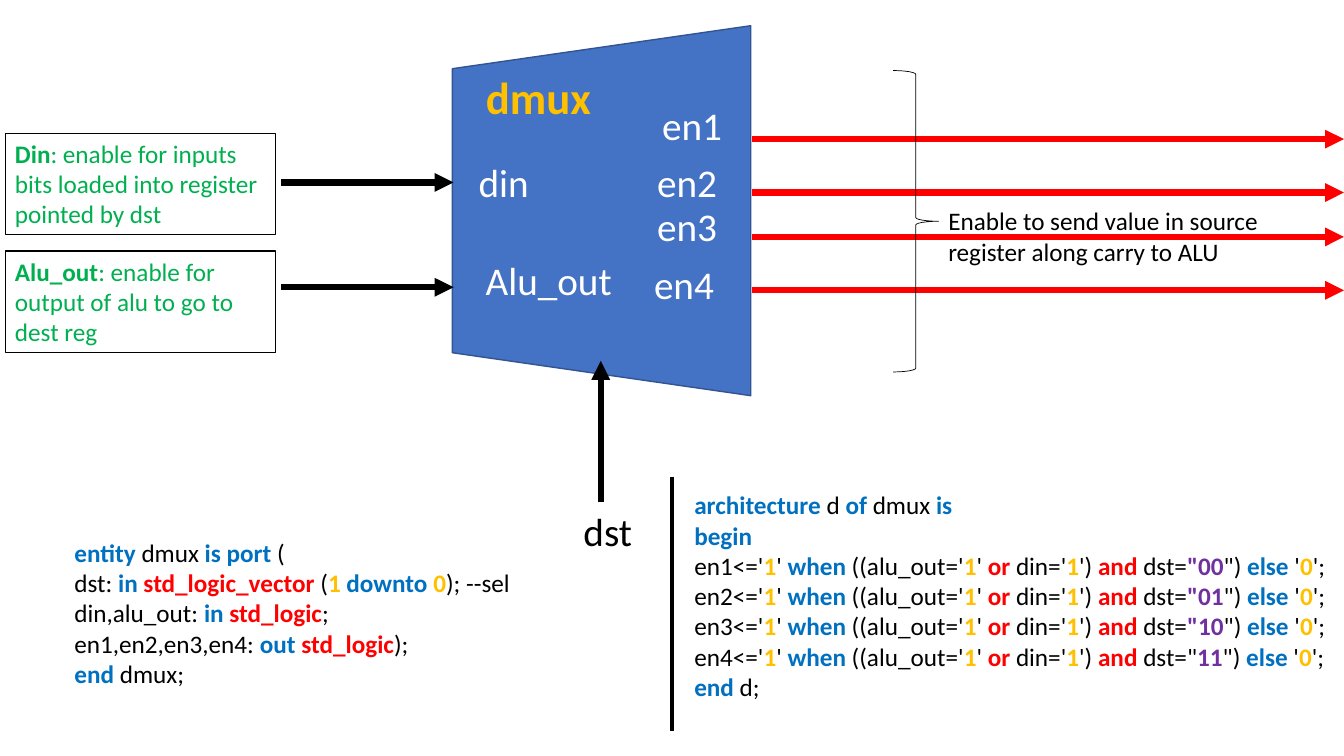
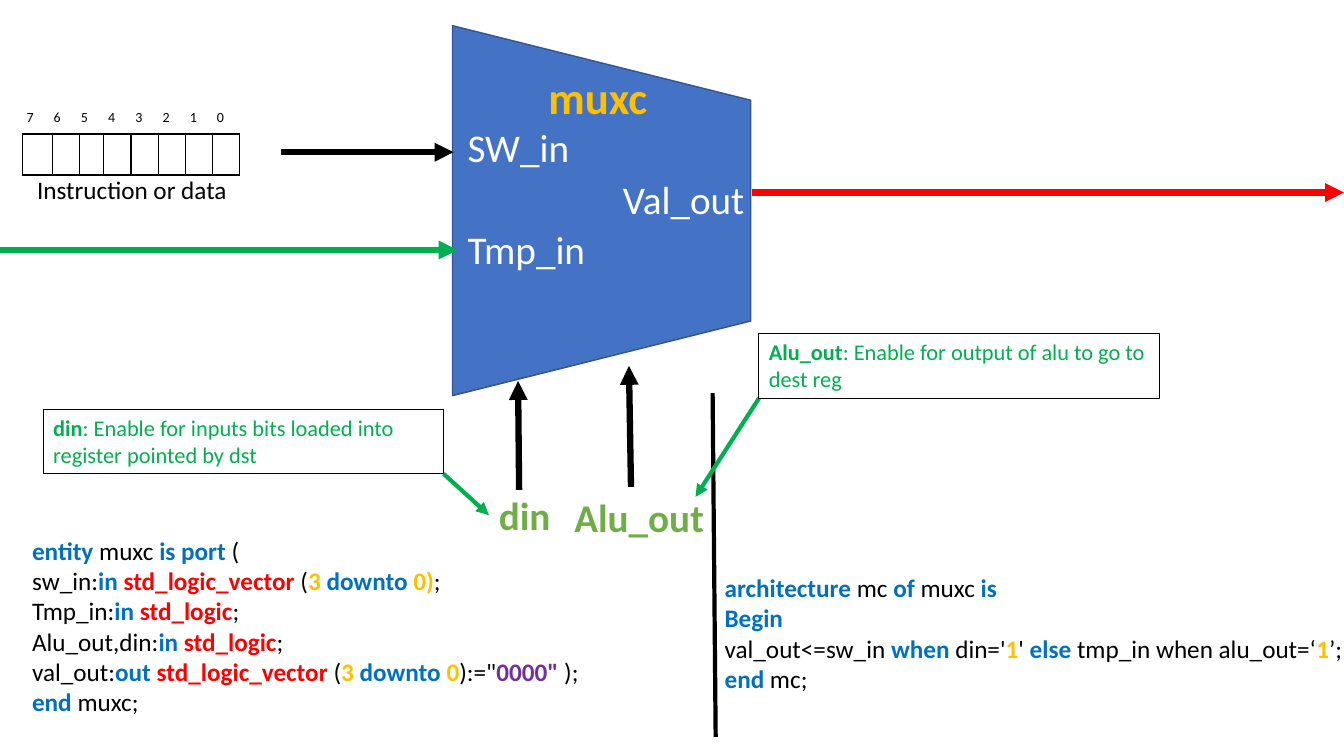
from dataclasses import dataclass

from lxml import etree
from pptx import Presentation
from pptx import util as u
from pptx.dml.color import RGBColor
from pptx.enum import shapes, text
from pptx.oxml import ns

# The slide is a grid of 40 columns by 22.5 rows of square cells.
COLUMNS, ROWS = 40, 22.5
CELL = u.Inches(1) // 3
FONT = "Calibri"
COLOURS = {
    "black": "000000", "white": "FFFFFF", "block": "4472C4", "edge": "325491",
    "red": "FF0000", "green": "00B050", "select": "70AD47", "amber": "FFC000",
    "blue": "0070C0", "purple": "7030A0",
}
# Code and captions mark bold coloured words as [letter:words].
TAGS = {"k": "blue", "t": "red", "n": "amber", "s": "purple", "g": "green"}


@dataclass(frozen=True)
class Label:
    words: str
    left: float
    top: float
    width: float = 4.86
    height: float = 1.71
    size: int = 28
    colour: str = "white"
    bold: bool = False
    framed: bool = False


@dataclass(frozen=True)
class Line:
    start: tuple[float, float]
    end: tuple[float, float]
    colour: str = "black"
    weight: float = 4.5
    arrow: bool = True


def grid(*cells: float) -> list[int]:
    """Turn columns or rows of the grid into lengths."""
    return [round(cell * CELL) for cell in cells]


def rgb(name: str) -> RGBColor:
    return RGBColor.from_string(COLOURS[name])


def spans(marked_line: str):
    """Yield each stretch of words with its tag, or None when untagged."""
    plain, *tagged = marked_line.split("[")
    yield plain, None
    for part in tagged:
        marked, rest = part.split("]", 1)
        tag, words = marked.split(":", 1)
        yield words, tag
        yield rest, None


def write(frame, label: Label) -> None:
    frame.word_wrap = True
    frame.auto_size = text.MSO_AUTO_SIZE.NONE
    frame.vertical_anchor = text.MSO_ANCHOR.TOP
    for index, line in enumerate(label.words.splitlines()):
        para = frame.add_paragraph() if index else frame.paragraphs[0]
        para.alignment = text.PP_ALIGN.LEFT
        para.font.name = FONT
        para.font.size = u.Pt(label.size)
        para.font.bold = label.bold
        para.font.color.rgb = rgb(label.colour)
        for words, tag in spans(line):
            if not words:
                continue
            span = para.add_run()
            span.text = words
            if tag:
                span.font.bold = True
                span.font.color.rgb = rgb(TAGS[tag])


def draw_label(page, label: Label):
    box = page.shapes.add_textbox(
        *grid(label.left, label.top, label.width, label.height))
    if label.framed:
        box.line.color.rgb = rgb("black")
        box.line.width = u.Pt(0.75)
    write(box.text_frame, label)
    return box


def draw_line(page, line: Line) -> None:
    connector = page.shapes.add_connector(
        shapes.MSO_CONNECTOR.STRAIGHT, *grid(*line.start, *line.end))
    connector.line.color.rgb = rgb(line.colour)
    connector.line.width = u.Pt(line.weight)
    properties = connector.element.spPr
    if line.arrow:
        outline = properties.find(ns.qn("a:ln"))
        etree.SubElement(outline, ns.qn("a:tailEnd"), type="triangle")
    etree.SubElement(properties, ns.qn("a:effectLst"))


def draw_block(page, rotation: int, slant: float) -> None:
    block = page.shapes.add_shape(
        shapes.MSO_SHAPE.TRAPEZOID, *grid(12.4, 1.83, 11.01, 8.88))
    block.rotation = rotation
    block.adjustments[0] = slant
    block.shadow.inherit = False
    block.fill.solid()
    block.fill.fore_color.rgb = rgb("block")
    block.line.color.rgb = rgb("edge")
    block.line.width = u.Pt(1)


def start_page(deck, name: str, name_left: float, rotation: int, slant: float):
    """Add a slide with its trapezoid block and the block's name as title."""
    page = deck.slides.add_slide(deck.slide_layouts[5])
    draw_block(page, rotation, slant)
    title = page.shapes.title
    title.left, title.top, title.width, title.height = grid(
        name_left, 1.92, 5.07, 1.92)
    write(title.text_frame, Label(name, name_left, 1.92, size=32,
                                  colour="amber", bold=True))
    title.element.getparent().append(title.element)  # in front of the block
    return page


def draw_all(page, lines: list[Line], labels: list[Label]) -> None:
    for line in lines:
        draw_line(page, line)
    for label in labels:
        draw_label(page, label)


def code(words: str, left: float, top: float, width: float,
         height: float) -> Label:
    return Label(words, left, top, width, height, 18, "black")


def caption(words: str, left: float, top: float, width: float, height: float,
            size: int) -> Label:
    return Label(words, left, top, width, height, size, "green", framed=True)


def draw_brace(page) -> None:
    brace = page.shapes.add_shape(
        shapes.MSO_SHAPE.RIGHT_BRACE, *grid(26.58, 2.1, 1.35, 8.97))
    brace.shadow.inherit = False
    brace.fill.background()
    brace.line.color.rgb = rgb("black")
    brace.line.width = u.Pt(0.5)


def border_cell(cell) -> None:
    properties = cell._tc.get_or_add_tcPr()
    for index, side in enumerate(("lnL", "lnR", "lnT", "lnB")):
        border = etree.Element(ns.qn(f"a:{side}"), w=str(u.Pt(1)))
        fill = etree.SubElement(border, ns.qn("a:solidFill"))
        etree.SubElement(fill, ns.qn("a:srgbClr"), val=COLOURS["black"])
        properties.insert(index, border)


def draw_bit_cells(page) -> None:
    widths = [0.9, 0.81, 0.69] + [0.81] * 5
    table = page.shapes.add_table(
        1, len(widths), *grid(0.66, 3.99, sum(widths), 1.2)).table
    table.first_row = table.horz_banding = False
    for column, width in zip(table.columns, grid(*widths)):
        column.width = width
    for cell in table.iter_cells():
        cell.fill.solid()
        cell.fill.fore_color.rgb = rgb("white")
        border_cell(cell)


def draw_bit_numbers(page) -> None:
    """Number the bits 7 to 0 on evenly spaced centred tabs."""
    numbers = "".join(f"\t{bit}" for bit in reversed(range(8)))
    box = draw_label(page, Label(numbers, 0.33, 3.09, 6.81, 0.81, 10, "black"))
    properties = box.text_frame.paragraphs[0]._p.get_or_add_pPr()
    stops = etree.Element(ns.qn("a:tabLst"))
    for position in grid(*(0.27 + 0.81 * index for index in range(8))):
        etree.SubElement(stops, ns.qn("a:tab"), pos=str(position), algn="ctr")
    properties.insert(0, stops)


def add_dmux(deck) -> None:
    page = start_page(deck, "dmux", 14.16, 270, 0.144)
    entity = """[k:entity ]dmux [k:is port] (
dst: [k:in ][t:std_logic_vector] ([n:1 ][k:downto ][n:0]); --sel
din,alu_out: [k:in ][t:std_logic];
en1,en2,en3,en4: [k:out ][t:std_logic]);
[k:end ]dmux;"""
    selectors = ['[s:"00]', '[s:"01]', '[s:"10]', '"[s:11]']
    enables = [
        f"en{number}<='[n:1]' [k:when] ((alu_out='[n:1]' [t:or] din='[n:1]') "
        f"[t:and ]dst={selector}\") [k:else] '[n:0]';"
        for number, selector in enumerate(selectors, 1)]
    architecture = "\n".join(
        ["[k:architecture] d [k:of ]dmux [k:is]", "[k:begin]", *enables,
         "[k:end] d;"])
    lines = [Line((22.38, row), (COLUMNS, row), "red")
             for row in (4.14, 5.73, 7.05, 8.64)]
    lines += [Line((8.37, row), (13.5, row)) for row in (5.43, 8.55)]
    lines += [
        Line((17.88, 14.94), (17.88, 10.74)),
        Line((20.01, 14.19), (20.01, 21.75), weight=3, arrow=False),
    ]
    outputs = [(19.41, 2.88), (19.26, 4.56), (19.26, 5.88), (19.17, 7.59)]
    labels = [Label(f"en{number}", *place)
              for number, place in enumerate(outputs, 1)]
    labels += [
        Label("din", 13.95, 4.56),
        Label("Alu_out", 14.16, 7.47),
        Label("dst", 17.07, 14.94, colour="black"),
        code(entity, 1.92, 15.84, 20.01, 4.86),
        code(architecture, 20.37, 14.43, 19.63, 6.66),
        caption("[g:Din]: enable for inputs bits loaded into register "
                "pointed by dst", 0.15, 3.96, 8.04, 3.03, 18),
        caption("[g:Alu_out]: enable for output of alu to go to dest reg",
                0.15, 7.47, 8.04, 3.03, 18),
        Label("Enable to send value in source register along carry to ALU",
              27.93, 5.97, 11.28, 2.13, 18, "black"),
    ]
    draw_all(page, lines, labels)
    draw_brace(page)


def add_muxc(deck) -> None:
    page = start_page(deck, "muxc", 16.02, 90, 0.25)
    entity = """[k:entity ]muxc [k:is port] (
sw_in:[k:in ][t:std_logic_vector ]([n:3 ][k:downto ][n:0)];
Tmp_in:[k:in ][t:std_logic];
Alu_out,din:[k:in ][t:std_logic];
val_out:[k:out ][t:std_logic_vector ]([n:3 ][k:downto ][n:0]):="[s:0000" ]);
[k:end ]muxc;"""
    architecture = """[k:architecture] mc [k:of ]muxc [k:is]
[k:Begin]
val_out<=sw_in [k:when] din='[n:1]' [k:else ]tmp_in when alu_out=‘[n:1]’;
[k:end] mc;"""
    lines = [
        Line((18.78, 14.49), (18.72, 10.89)),
        Line((15.45, 14.58), (15.42, 11.34)),
        Line((8.37, 4.53), (13.5, 4.53)),
        Line((22.38, 5.73), (COLUMNS, 5.73), "red"),
        Line((0, 7.44), (13.62, 7.44), "green"),
        Line((21.21, 11.7), (21.3, 21.93), weight=3, arrow=False),
        Line((13.2, 14.1), (14.55, 15.33), "green", 3),
        Line((22.59, 11.85), (20.7, 14.79), "green", 3),
    ]
    labels = [
        Label("SW_in", 13.62, 3.51),
        Label("Tmp_in", 13.62, 6.57),
        Label("Val_out", 18.24, 5.07),
        Label("din", 14.55, 14.49, colour="select", bold=True),
        Label("Alu_out", 16.8, 14.52, colour="select", bold=True),
        code(entity, 0.66, 15.78, 21.09, 5.76),
        code(architecture, 21.27, 16.89, 19.23, 4.86),
        Label("Instruction or data", 0.81, 5.04, 7.02, 1.2, 18, "black"),
        caption("[g:din]: Enable for inputs bits loaded into register "
                "pointed by dst", 1.29, 12.18, 11.91, 1.92, 16),
        caption("[g:Alu_out]: Enable for output of alu to go to dest reg",
                22.59, 9.93, 11.91, 1.92, 16),
    ]
    draw_all(page, lines, labels)
    draw_bit_cells(page)
    draw_bit_numbers(page)


def main() -> None:
    deck = Presentation()
    deck.slide_width, deck.slide_height = grid(COLUMNS, ROWS)
    add_dmux(deck)
    add_muxc(deck)
    deck.save("out.pptx")


if __name__ == "__main__":
    main()
